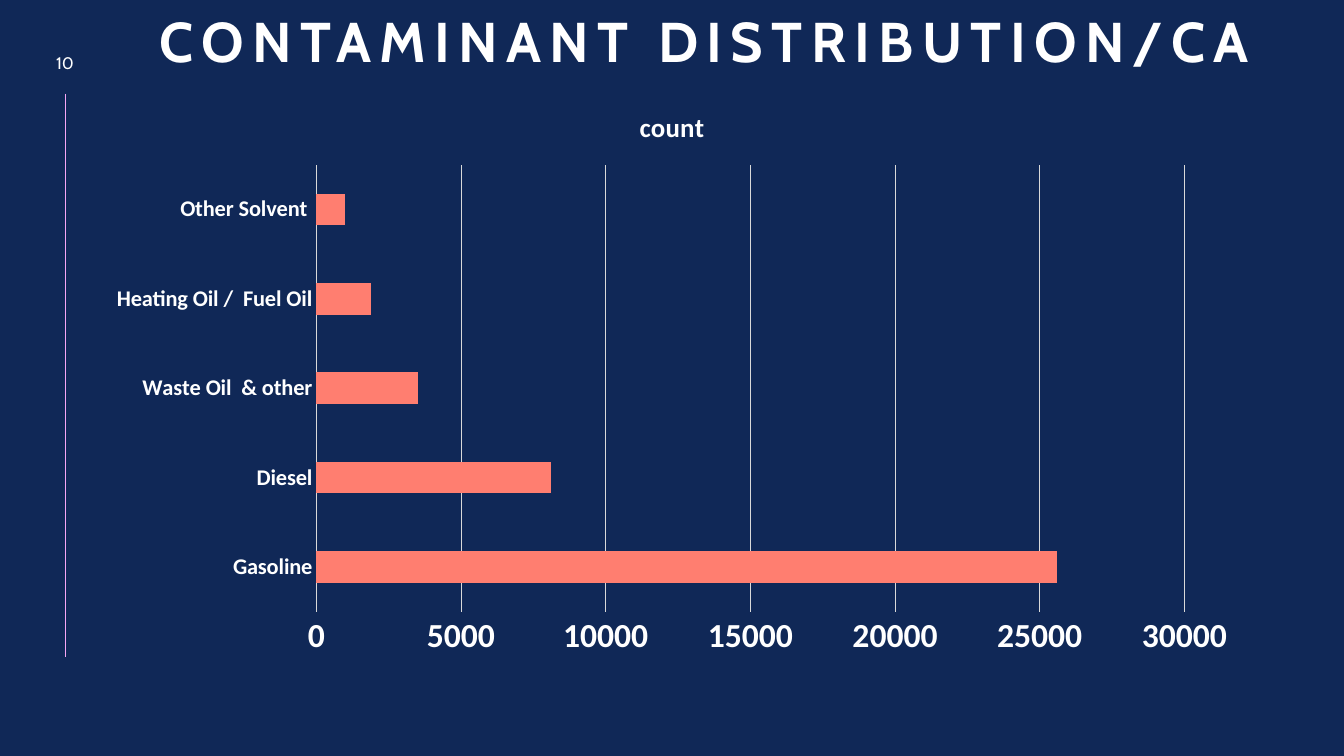
"""Build the contaminant distribution slide with its bar chart."""
from dataclasses import dataclass

from lxml.etree import SubElement
from pptx import Presentation
from pptx.chart.data import CategoryChartData
from pptx.dml.color import RGBColor as RGB
from pptx.enum.chart import XL_CHART_TYPE as Chart, XL_TICK_MARK as Tick
from pptx.enum.shapes import MSO_CONNECTOR as Conn
from pptx.enum.text import MSO_ANCHOR as Anchor, PP_ALIGN as Align
from pptx.oxml.ns import qn
from pptx.util import Inches, Pt

TITLE = "CONTAMINANT DISTRIBUTION/CA"
PAGE = "10"
SERIES = "count"
COUNTS = {
    "Gasoline": 25600,
    "Diesel": 8100,
    "Waste Oil  & other": 3500,
    "Heating Oil /  Fuel Oil": 1900,
    "Other Solvent ": 1000,
}
SIZE = (13.33, 7.5)
TITLE_BOX = (1.04, -0.1, 11.9, 0.88)
PAGE_BOX = (0.36, 0.45, 0.57, 0.34)
CHART_BOX = (0.93, 0.86, 11.47, 5.77)
RULE = (0.65, 0.93, 0.65, 6.52)


@dataclass(frozen=True)
class Theme:
    back: RGB = RGB.from_string("102857")
    text: RGB = RGB.from_string("FFFFFF")
    bar: RGB = RGB.from_string("FF7E70")
    grid: RGB = RGB.from_string("D9D9D9")
    rule: RGB = RGB.from_string("F6A6F4")
    head_font: str = "Cabin"
    chart_font: str = "Calibri"
    title: float = 40
    page: float = 12
    chart_title: float = 19.2
    category: float = 16
    value: float = 24


T = Theme()


def inches(box):
    return [Inches(v) for v in box]


def style_font(font, name, size, bold=True):
    font.name, font.size, font.bold = name, Pt(size), bold
    font.color.rgb = T.text


def write(shape, text, size, bold=False, anchor=Anchor.MIDDLE, spacing=0, after=0):
    tf = shape.text_frame
    tf.word_wrap, tf.vertical_anchor = True, anchor
    p = tf.paragraphs[0]
    p.alignment, p.space_after = Align.CENTER, Pt(after)
    r = p.add_run()
    r.text = text
    style_font(r.font, T.head_font, size, bold)
    if spacing:
        r.font._element.set("spc", str(spacing * 100))


def style_line(line, color, width):
    line.color.rgb, line.width = color, Pt(width)


def add_counts(s):
    data = CategoryChartData()
    data.categories = list(COUNTS)
    data.add_series(SERIES, list(COUNTS.values()))
    chart = s.shapes.add_chart(Chart.BAR_CLUSTERED, *inches(CHART_BOX), data).chart
    style_font(chart.font, T.chart_font, T.category)
    chart.has_legend = False
    r = chart.chart_title.text_frame.paragraphs[0].add_run()
    r.text = SERIES
    style_font(r.font, T.chart_font, T.chart_title)
    chart.chart_title.include_in_layout = False
    cat, val = chart.category_axis, chart.value_axis
    for axis, size in ((cat, T.category), (val, T.value)):
        axis.major_tick_mark = axis.minor_tick_mark = Tick.NONE
        style_font(axis.tick_labels.font, T.chart_font, size)
    style_line(cat.format.line, T.grid, 0.75)
    val.format.line.fill.background()
    val.has_major_gridlines = True
    style_line(val.major_gridlines.format.line, T.grid, 0.75)
    val.minimum_scale, val.maximum_scale, val.major_unit = 0, 30000, 5000
    plot = chart.plots[0]
    plot.gap_width, plot.vary_by_categories = 182, False
    fill = plot.series[0].format.fill
    fill.solid()
    fill.fore_color.rgb = T.bar


def main():
    prs = Presentation()
    prs.slide_width, prs.slide_height = inches(SIZE)
    s = prs.slides.add_slide(prs.slide_layouts[5])
    s.background.fill.solid()
    s.background.fill.fore_color.rgb = T.back

    rule = s.shapes.add_connector(Conn.STRAIGHT, *inches(RULE))
    style_line(rule.line, T.rule, 0.5)
    SubElement(rule._element.spPr, qn("a:effectLst"))

    write(s.shapes.add_textbox(*inches(PAGE_BOX)), PAGE, T.page, after=6)
    add_counts(s)

    title = s.shapes.title
    title.left, title.top, title.width, title.height = inches(TITLE_BOX)
    write(title, TITLE, T.title, bold=True, anchor=Anchor.BOTTOM, spacing=6)
    prs.save("out.pptx")


if __name__ == "__main__":
    main()
